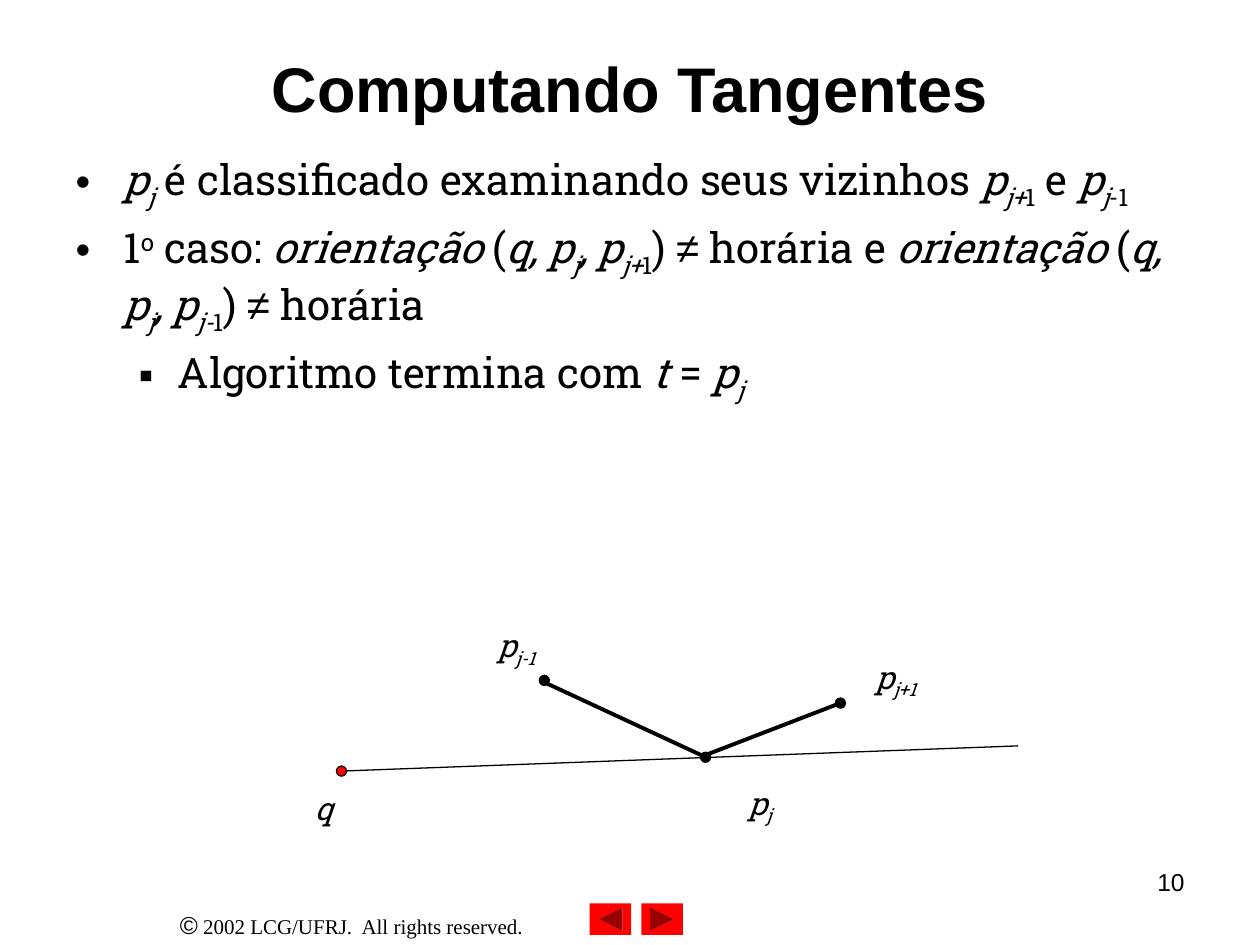
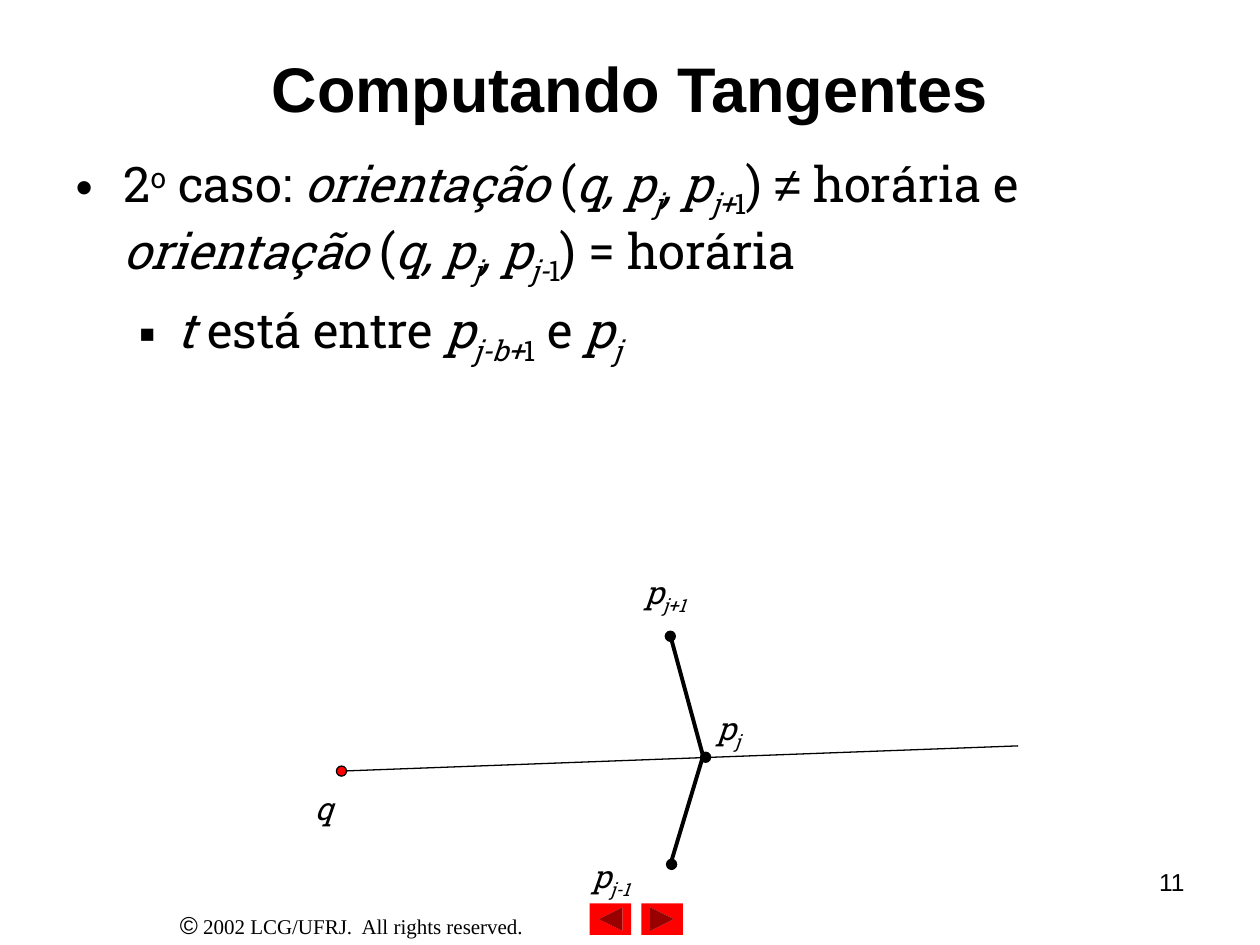
from itertools import groupby

from lxml import etree
from pptx import Presentation
from pptx.dml.color import RGBColor
from pptx.enum.shapes import MSO_CONNECTOR, MSO_SHAPE
from pptx.enum.text import MSO_ANCHOR, MSO_AUTO_SIZE, PP_ALIGN
from pptx.oxml.ns import qn
from pptx.util import Inches, Pt

BLACK = RGBColor(0, 0, 0)
RED = RGBColor(255, 0, 0)
HEAD, SLAB, SERIF = "Arial", "Roboto Slab", "Times New Roman"

LINE = MSO_CONNECTOR.STRAIGHT
OVAL = MSO_SHAPE.OVAL
NEXT = MSO_SHAPE.ACTION_BUTTON_FORWARD_OR_NEXT
MIDDLE = MSO_ANCHOR.MIDDLE
FIXED = MSO_AUTO_SIZE.NONE
LEFT, CENTER, RIGHT = PP_ALIGN.LEFT, PP_ALIGN.CENTER, PP_ALIGN.RIGHT

TITLE = "Computando Tangentes"
DOT = 0.08
# Bullet, left margin and hanging indent of each list level
LEVELS = (("•", 0.38, -0.38), ("▪", 0.81, -0.31))


class Deck:
    def __init__(self):
        self.prs = Presentation()
        self.prs.slide_width, self.prs.slide_height = Inches(10), Inches(7.5)
        self.slide = None

    def add(self, num):
        """Start a slide with the shared title, footer and buttons."""
        self.slide = self.prs.slides.add_slide(self.prs.slide_layouts[1])
        title = self.slide.shapes.title
        self.place(title, 0.5, 0.3, 9, 0.78)
        frame = title.text_frame
        frame.text = TITLE
        frame.vertical_anchor, frame.auto_size = MIDDLE, FIXED
        par = frame.paragraphs[0]
        par.alignment = CENTER
        self.style(par.runs[0], 36, HEAD, bold=True)

        foot = self.box(0.83, 7.17, 3.92, 0.34, CENTER)
        self.run(foot, "©", 14, HEAD)
        self.run(foot, " 2002 LCG/UFRJ.  All rights reserved.", 12, SERIF)
        self.button(5.09, 0)
        self.button(4.68, 180)
        self.run(self.box(7.17, 6.83, 2.33, 0.52, RIGHT), str(num), 14, HEAD)

    def place(self, shape, x, y, w, h):
        shape.left, shape.top = Inches(x), Inches(y)
        shape.width, shape.height = Inches(w), Inches(h)

    def style(self, run, size, face, bold=False, slant=False):
        font = run.font
        font.size, font.name = Pt(size), face
        font.bold, font.italic = bold, slant
        font.color.rgb = BLACK

    def run(self, par, text, size, face, slant=False):
        run = par.add_run()
        run.text = text
        self.style(run, size, face, slant=slant)
        return run

    def rich(self, par, text, size):
        """Write text where * toggles italic, _ subscript and ^ superscript."""
        state = {"*": False, "_": False, "^": False}
        for key, part in groupby(text, lambda c: c if c in "*_^≠" else ""):
            if key in state:
                state[key] = not state[key]
                continue
            face = HEAD if key == "≠" else SLAB
            run = self.run(par, "".join(part), size, face, state["*"])
            if state["_"] or state["^"]:
                base = "-25000" if state["_"] else "30000"
                run._r.get_or_add_rPr().set("baseline", base)

    def box(self, x, y, w, h, align, wrap=True):
        area = Inches(x), Inches(y), Inches(w), Inches(h)
        frame = self.slide.shapes.add_textbox(*area).text_frame
        frame.word_wrap = wrap
        par = frame.paragraphs[0]
        par.alignment = align
        return par

    def label(self, text, x, y, w, h=0.44):
        self.rich(self.box(x, y, w, h, LEFT, wrap=False), text, 18)

    def list(self, items, size, gap, width):
        body = self.slide.placeholders[1]
        self.place(body, 0.5, 1.17, width, 2.33)
        frame = body.text_frame
        frame.auto_size = FIXED
        for i, (level, text) in enumerate(items):
            par = frame.add_paragraph() if i else frame.paragraphs[0]
            par.level, par.space_before = level, Pt(gap)
            mark, left, hang = LEVELS[level]
            props = par._p.get_or_add_pPr()
            props.set("marL", str(Inches(left)))
            props.set("indent", str(Inches(hang)))
            tint = etree.SubElement(props, qn("a:buClr"))
            etree.SubElement(tint, qn("a:srgbClr"), val=str(BLACK))
            etree.SubElement(props, qn("a:buFont"), typeface=HEAD)
            etree.SubElement(props, qn("a:buChar"), char=mark)
            self.rich(par, text, size)

    def shape(self, kind, x, y, w, h, fill):
        area = Inches(x), Inches(y), Inches(w), Inches(h)
        shape = self.slide.shapes.add_shape(kind, *area)
        shape.shadow.inherit = False
        shape.fill.solid()
        shape.fill.fore_color.rgb = fill
        return shape

    def button(self, x, turn):
        shape = self.shape(NEXT, x, 7.17, 0.33, 0.25, RED)
        shape.line.fill.background()
        shape.rotation = turn

    def dot(self, x, y, fill=BLACK):
        shape = self.shape(OVAL, x, y, DOT, DOT, fill)
        shape.line.color.rgb, shape.line.width = BLACK, Pt(0.75)

    def line(self, start, end, width):
        ends = [Inches(v) for v in (*start, *end)]
        line = self.slide.shapes.add_connector(LINE, *ends)
        line.line.color.rgb, line.line.width = BLACK, Pt(width)
        etree.SubElement(line._element.spPr, qn("a:effectLst"))

    def graph(self, dots, ends, labels):
        """Draw the ray from q through p_j and the two edges at p_j."""
        self.line((2.71, 6.12), (8.08, 5.92), 0.75)
        self.dot(2.67, 6.08, RED)
        self.label("*q*", 2.4, 6.21, 0.34, 0.4)
        for spot in (*dots, (5.56, 5.97)):
            self.dot(*spot)
        for end in ends:
            self.line(end, (5.58, 6), 2.25)
        names = ("j", 0.39), ("j+1", 0.56), ("j-1", 0.52)
        for (name, width), spot in zip(names, labels):
            self.label(f"*p_{name}_*", *spot, width)


def main():
    deck = Deck()
    ahead = "*orientação* (*q, p_j_, p_j+*1_) ≠ horária e "
    back = "*orientação* (*q, p_j_, p_j-*1_) "

    # First case: both neighbours on the same side
    deck.add(10)
    deck.list([
        (0, "*p_j_* é classificado examinando seus vizinhos "
            "*p_j+*1_ e *p_j*-1_"),
        (0, "1^o^ caso: " + ahead + back + "≠ horária"),
        (1, "Algoritmo termina com *t* = *p_j_*"),
    ], 24, 6, 9.08)
    deck.graph(
        dots=[(4.28, 5.36), (6.63, 5.54)],
        ends=[(4.33, 5.42), (6.67, 5.58)],
        labels=[(5.84, 6.17), (6.85, 5.17), (3.85, 4.92)])

    # Second case: neighbours on opposite sides
    deck.add(11)
    deck.list([
        (0, "2^o^ caso: " + ahead + back + "= horária"),
        (1, "*t* está entre *p_j-b+*1_ e *p_j_*"),
    ], 28, 7, 9)
    deck.graph(
        dots=[(5.29, 6.82), (5.28, 5.01)],
        ends=[(5.33, 6.83), (5.33, 5.08)],
        labels=[(5.59, 5.58), (5.02, 4.5), (4.6, 6.75)])

    deck.prs.save("out.pptx")


if __name__ == "__main__":
    main()
